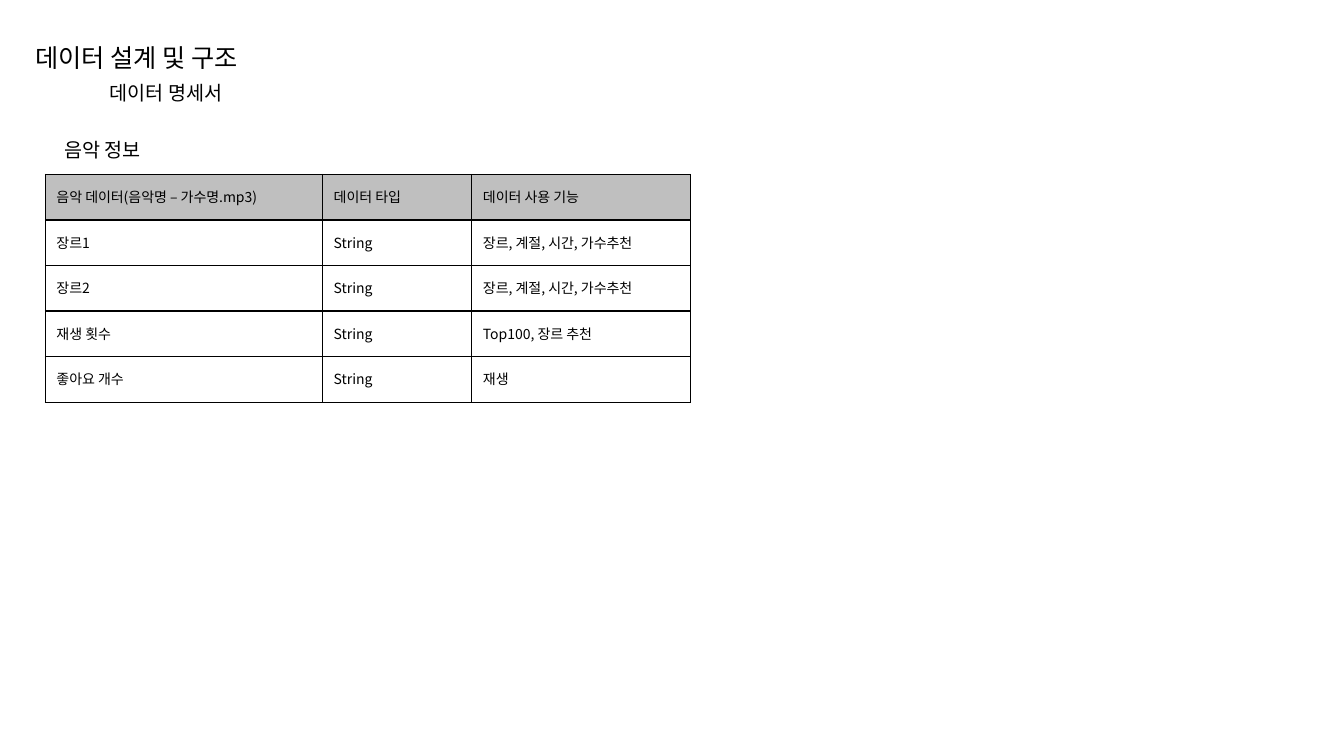
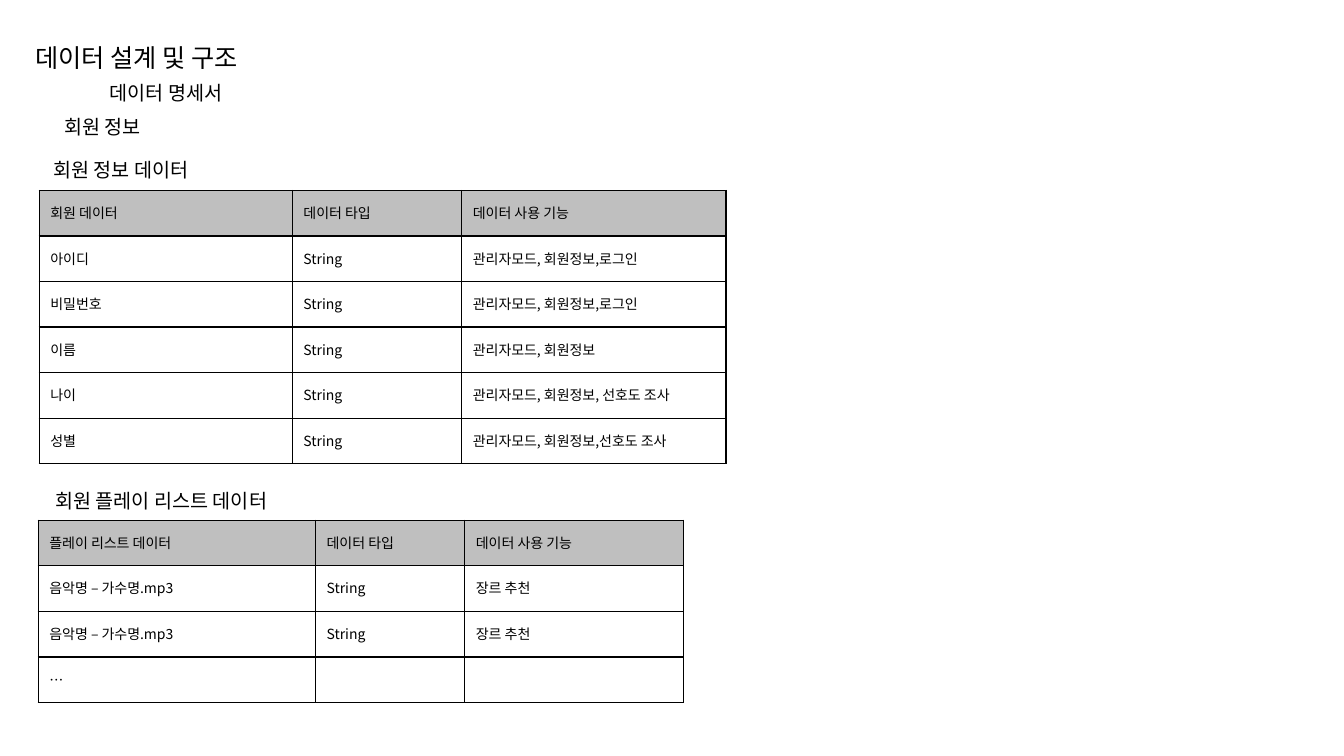
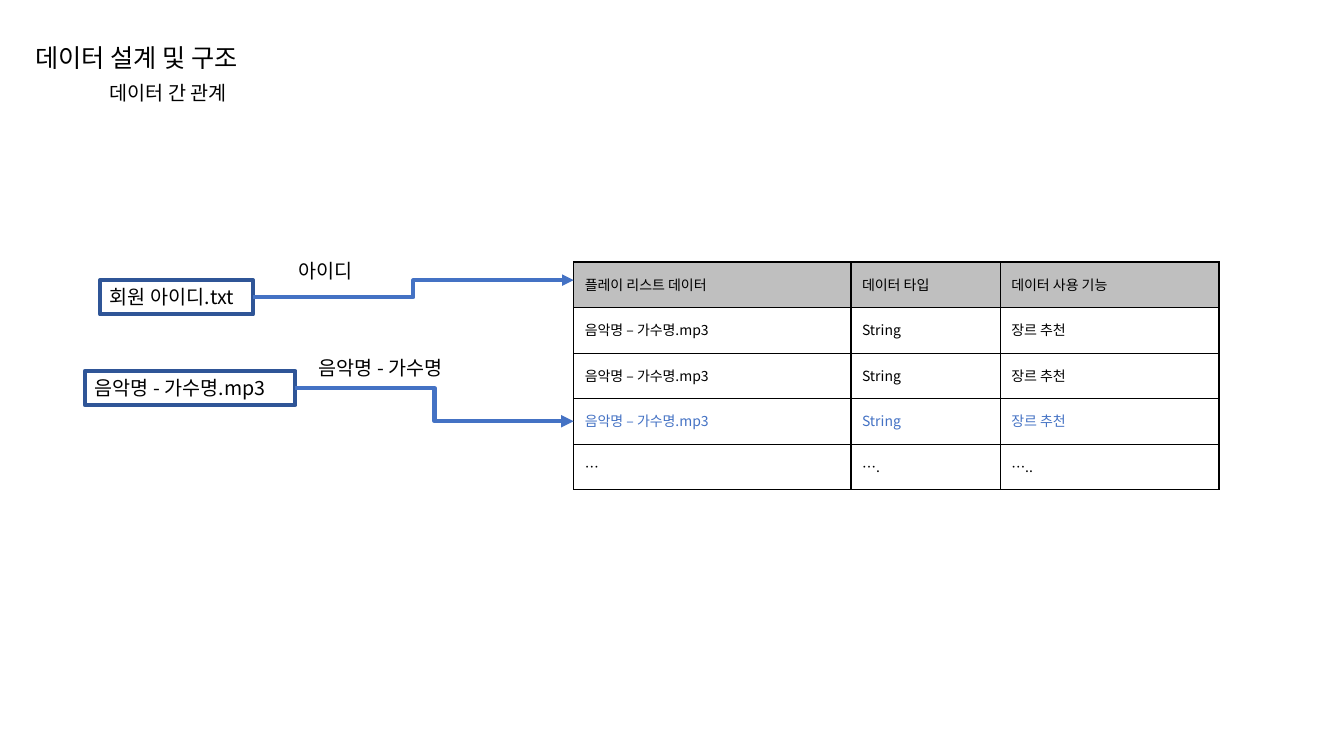
"""Build three slides on the data design of a music service."""
from lxml.etree import SubElement
from pptx import Presentation
from pptx.dml.color import RGBColor
from pptx.enum.shapes import MSO_CONNECTOR as Connector, MSO_SHAPE as Shape
from pptx.enum.text import MSO_ANCHOR as Anchor, MSO_AUTO_SIZE as AutoSize, PP_ALIGN as Align
from pptx.oxml import parse_xml
from pptx.oxml.ns import nsdecls, qn
from pptx.util import Emu, Pt

EMU_PER_PX = 9144
FONT = "Noto Sans CJK KR"
COLORS = {
    "ink": "000000",
    "header": "BFBFBF",
    "box": "2F5597",
    "accent": "4472C4",
}
NARROW_COLUMNS = [275, 148, 217]
WIDE_COLUMNS = [251, 168, 262]
COMMON_HEADERS = ["데이터 타입", "데이터 사용 기능"]
SONG = ["음악명 – 가수명.mp3", "String", "장르 추천"]


def px(length):
    return Emu(length * EMU_PER_PX)


def rgb(color):
    return RGBColor.from_string(COLORS[color])


def add_run(paragraph, text, size, color="ink"):
    run = paragraph.add_run()
    run.text = text
    run.font.size = Pt(size)
    run.font.name = FONT
    run.font.color.rgb = rgb(color)
    SubElement(run.font._element, qn("a:ea"), typeface=FONT)


def fill_frame(frame, text, size):
    frame.word_wrap = True
    frame.auto_size = AutoSize.SHAPE_TO_FIT_TEXT
    frame.vertical_anchor = Anchor.TOP
    paragraph = frame.paragraphs[0]
    paragraph.alignment = Align.LEFT
    add_run(paragraph, text, size)


def add_label(slide, text, left, top, width, height=34, size=14):
    label = slide.shapes.add_textbox(px(left), px(top), px(width), px(height))
    fill_frame(label.text_frame, text, size)


def add_file_box(slide, text, left, top, width, height=34):
    box = slide.shapes.add_shape(Shape.RECTANGLE, px(left), px(top), px(width), px(height))
    box.shadow.inherit = False
    box.fill.background()
    box.line.color.rgb = rgb("box")
    box.line.width = Pt(2.75)
    fill_frame(box.text_frame, text, 14)
    return box


def add_arrow(slide, source, start, end, weight):
    arrow = slide.shapes.add_connector(Connector.ELBOW, *map(px, start + end))
    arrow.begin_connect(source, 3)
    arrow.line.color.rgb = rgb("accent")
    arrow.line.width = Pt(weight)
    SubElement(arrow.line._get_or_add_ln(), qn("a:tailEnd"), type="triangle")
    SubElement(arrow._element.spPr, qn("a:effectLst"))


def add_borders(cell):
    properties = cell._tc.get_or_add_tcPr()
    for position, side in enumerate(("lnL", "lnR", "lnT", "lnB")):
        border = parse_xml(
            f'<a:{side} {nsdecls("a")} w="{Pt(1)}"><a:solidFill>'
            f'<a:srgbClr val="{COLORS["ink"]}"/></a:solidFill></a:{side}>')
        properties.insert(position, border)


def style_cell(cell, is_header):
    cell.margin_left = cell.margin_right = px(11)
    cell.margin_top, cell.margin_bottom = px(12), px(0)
    if is_header:
        cell.fill.solid()
        cell.fill.fore_color.rgb = rgb("header")
    else:
        cell.fill.background()
    add_borders(cell)


def add_data_table(slide, left, top, height, columns, subject, records, highlighted=None):
    rows = [[subject, *COMMON_HEADERS], *records]
    table = slide.shapes.add_table(
        len(rows), len(columns), px(left), px(top), px(sum(columns)), px(height)).table
    table.first_row = table.horz_banding = False
    for column, width in zip(table.columns, columns):
        column.width = px(width)
    for row_index, row in enumerate(rows):
        table.rows[row_index].height = px(height) // len(rows)
        color = "accent" if row_index == highlighted else "ink"
        for column_index, text in enumerate(row):
            cell = table.cell(row_index, column_index)
            style_cell(cell, row_index == 0)
            if text:
                add_run(cell.text_frame.paragraphs[0], text, 10, color)


def add_titled_slide(deck, subtitle):
    slide = deck.slides.add_slide(deck.slide_layouts[6])
    add_label(slide, "데이터 설계 및 구조", 25, 37, 286, 40, 18)
    add_label(slide, subtitle, 99, 75, 237)
    return slide


def add_music_slide(deck):
    slide = add_titled_slide(deck, "데이터 명세서")
    add_label(slide, "음악 정보", 54, 132, 190)
    add_data_table(slide, 45, 173, 226, NARROW_COLUMNS, "음악 데이터(음악명 – 가수명.mp3)", [
        ["장르1", "String", "장르, 계절, 시간, 가수추천"],
        ["장르2", "String", "장르, 계절, 시간, 가수추천"],
        ["재생 횟수", "String", "Top100, 장르 추천"],
        ["좋아요 개수", "String", "재생"],
    ])


def add_member_slide(deck):
    slide = add_titled_slide(deck, "데이터 명세서")
    add_label(slide, "회원 정보", 54, 109, 190)
    add_label(slide, "회원 정보 데이터", 43, 152, 190)
    add_data_table(slide, 39, 189, 271, WIDE_COLUMNS, "회원 데이터", [
        ["아이디", "String", "관리자모드, 회원정보,로그인"],
        ["비밀번호", "String", "관리자모드, 회원정보,로그인"],
        ["이름", "String", "관리자모드, 회원정보"],
        ["나이", "String", "관리자모드, 회원정보, 선호도 조사"],
        ["성별", "String", "관리자모드, 회원정보,선호도 조사"],
    ])
    add_label(slide, "회원 플레이 리스트 데이터", 45, 480, 267)
    add_data_table(slide, 38, 516, 181, NARROW_COLUMNS, "플레이 리스트 데이터",
                   [SONG, SONG, ["…", "", ""]])


def add_relation_slide(deck):
    slide = add_titled_slide(deck, "데이터 간 관계")
    member_file = add_file_box(slide, "회원 아이디.txt", 99, 278, 152)
    music_file = add_file_box(slide, "음악명 - 가수명.mp3", 84, 368, 209)
    add_data_table(slide, 569, 260, 226, NARROW_COLUMNS, "플레이 리스트 데이터",
                   [SONG, SONG, SONG, ["…", "….", "….."]], highlighted=3)
    add_arrow(slide, member_file, (251, 295), (569, 278), 2.75)
    add_arrow(slide, music_file, (293, 385), (569, 418), 3)
    add_label(slide, "아이디", 286, 252, 111)
    add_label(slide, "음악명 - 가수명", 306, 348, 182)


def main():
    deck = Presentation()
    deck.slide_width, deck.slide_height = px(1333), px(750)
    add_music_slide(deck)
    add_member_slide(deck)
    add_relation_slide(deck)
    deck.save("out.pptx")


if __name__ == "__main__":
    main()
